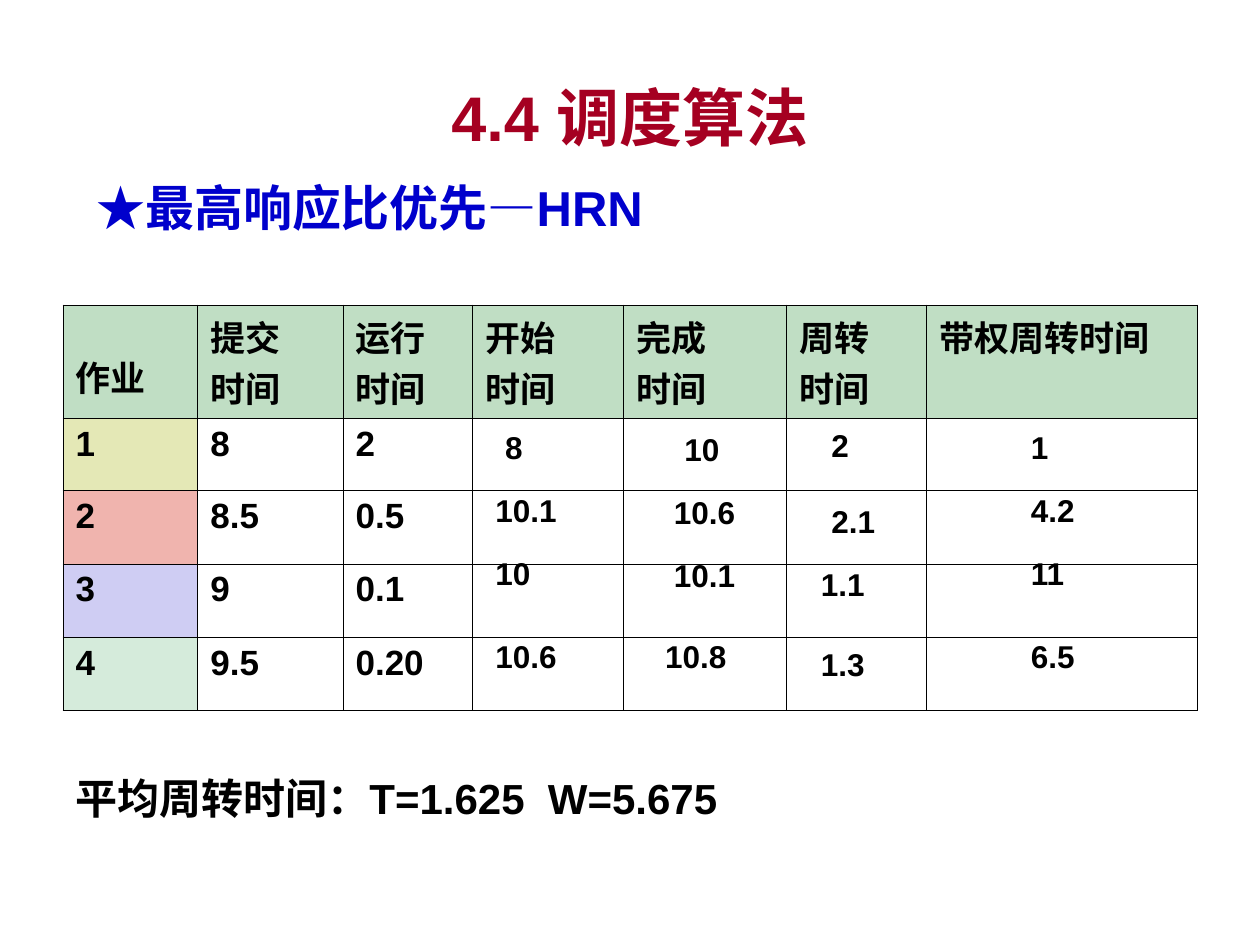
from lxml.etree import SubElement
from pptx import Presentation
from pptx.dml.color import RGBColor
from pptx.enum.text import MSO_ANCHOR, PP_ALIGN
from pptx.oxml.ns import qn
from pptx.util import Pt

LATIN, CJK = "Arial", "Noto Sans CJK SC"
COLORS = {
    "title": "A50021", "heading": "0000CC", "text": "000000", "border": "000000",
    "header": "C0DEC4", "job1": "E4E8B6", "job2": "F0B4AE", "job3": "CFCDF3", "job4": "D5EBDB",
}

COLUMN_WIDTHS = [77, 83, 74, 86.5, 93, 80, 154.5]
ROW_HEIGHTS = [65, 41, 42, 42, 42]
HEADERS = ["作业", "提交\n时间", "运行\n时间", "开始\n时间", "完成\n时间", "周转\n时间", "带权周转时间"]
JOBS = [["1", "8", "2"], ["2", "8.5", "0.5"], ["3", "9", "0.1"], ["4", "9.5", "0.20"]]

# Each answer: text, left, top and width, relative to the table's corner
ANSWERS = {
    "start": [("8", 245.5, 67, 48), ("10.1", 240, 103, 60),
              ("10", 240, 139, 60), ("10.6", 240, 186, 84)],
    "finish": [("10", 348, 68, 40), ("10.6", 342, 104, 54),
               ("10.1", 342, 140, 54), ("10.8", 337, 186, 59)],
    "turnaround": [("2", 432, 65.5, 42), ("2.1", 432, 109, 54),
                   ("1.1", 426, 145, 56), ("1.3", 426, 191, 56)],
    "weighted": [("1", 546, 67, 72), ("4.2", 546, 103, 66),
                 ("11", 546, 139, 35), ("6.5", 546, 186, 72)],
}


def write(frame, text, size=18, color="text", font=LATIN, align=PP_ALIGN.LEFT):
    """Fill a text frame with one paragraph per line of text."""
    frame.word_wrap = True
    for index, line in enumerate(text.split("\n")):
        paragraph = frame.add_paragraph() if index else frame.paragraphs[0]
        paragraph.alignment = align
        run = paragraph.add_run()
        run.text = line
        run.font.size = Pt(size)
        run.font.bold = True
        run.font.name = font
        run.font.color.rgb = RGBColor.from_string(COLORS[color])
        SubElement(run.font._element, qn("a:ea"), typeface=CJK)


def add_text(slide, box, text, anchor=MSO_ANCHOR.TOP, **style):
    frame = slide.shapes.add_textbox(*map(Pt, box)).text_frame
    frame.vertical_anchor = anchor
    write(frame, text, **style)


def add_borders(cell):
    properties = cell._tc.get_or_add_tcPr()
    for position, side in enumerate(("lnL", "lnR", "lnT", "lnB")):
        line = properties.makeelement(qn(f"a:{side}"), {"w": str(Pt(0.45))})
        fill = SubElement(line, qn("a:solidFill"))
        SubElement(fill, qn("a:srgbClr"), val=COLORS["border"])
        properties.insert(position, line)


def add_job_table(slide, box):
    rows = [HEADERS] + JOBS
    table = slide.shapes.add_table(len(rows), len(HEADERS), *map(Pt, box)).table
    table.first_row = table.horz_banding = False
    for column, width in zip(table.columns, COLUMN_WIDTHS):
        column.width = Pt(width)
    for row, height in zip(table.rows, ROW_HEIGHTS):
        row.height = Pt(height)
    for r in range(len(rows)):
        for c in range(len(HEADERS)):
            cell = table.cell(r, c)
            if r == 0 or c == 0:
                cell.fill.solid()
                fill = COLORS[f"job{r}" if r else "header"]
                cell.fill.fore_color.rgb = RGBColor.from_string(fill)
            else:
                cell.fill.background()
            add_borders(cell)
            if c < len(rows[r]):
                write(cell.text_frame, rows[r][c], size=20, font=LATIN if r else CJK)
    # The first heading sits one line lower than the others
    table.cell(0, 0).margin_top = Pt(26.5)


def add_answers(slide, box):
    table_left, table_top = box[:2]
    for column in ANSWERS.values():
        for text, left, top, width in column:
            add_text(slide, (table_left + left, table_top + top, width, 29), text)


def build_slide(slide):
    table_box = (36, 174.24, 648, 232)
    add_text(slide, (36, 21.6, 648, 90), "4.4 调度算法", size=36, color="title",
             align=PP_ALIGN.CENTER, anchor=MSO_ANCHOR.MIDDLE)
    add_job_table(slide, table_box)
    add_text(slide, (36, 438, 569, 36), "平均周转时间：T=1.625  W=5.675", size=24,
             anchor=MSO_ANCHOR.MIDDLE)
    add_text(slide, (48, 98, 480, 41), "★最高响应比优先—HRN", size=28, color="heading")
    add_answers(slide, table_box)


def main():
    deck = Presentation()
    deck.slide_width, deck.slide_height = Pt(720), Pt(540)
    build_slide(deck.slides.add_slide(deck.slide_layouts[6]))
    deck.save("out.pptx")


if __name__ == "__main__":
    main()
